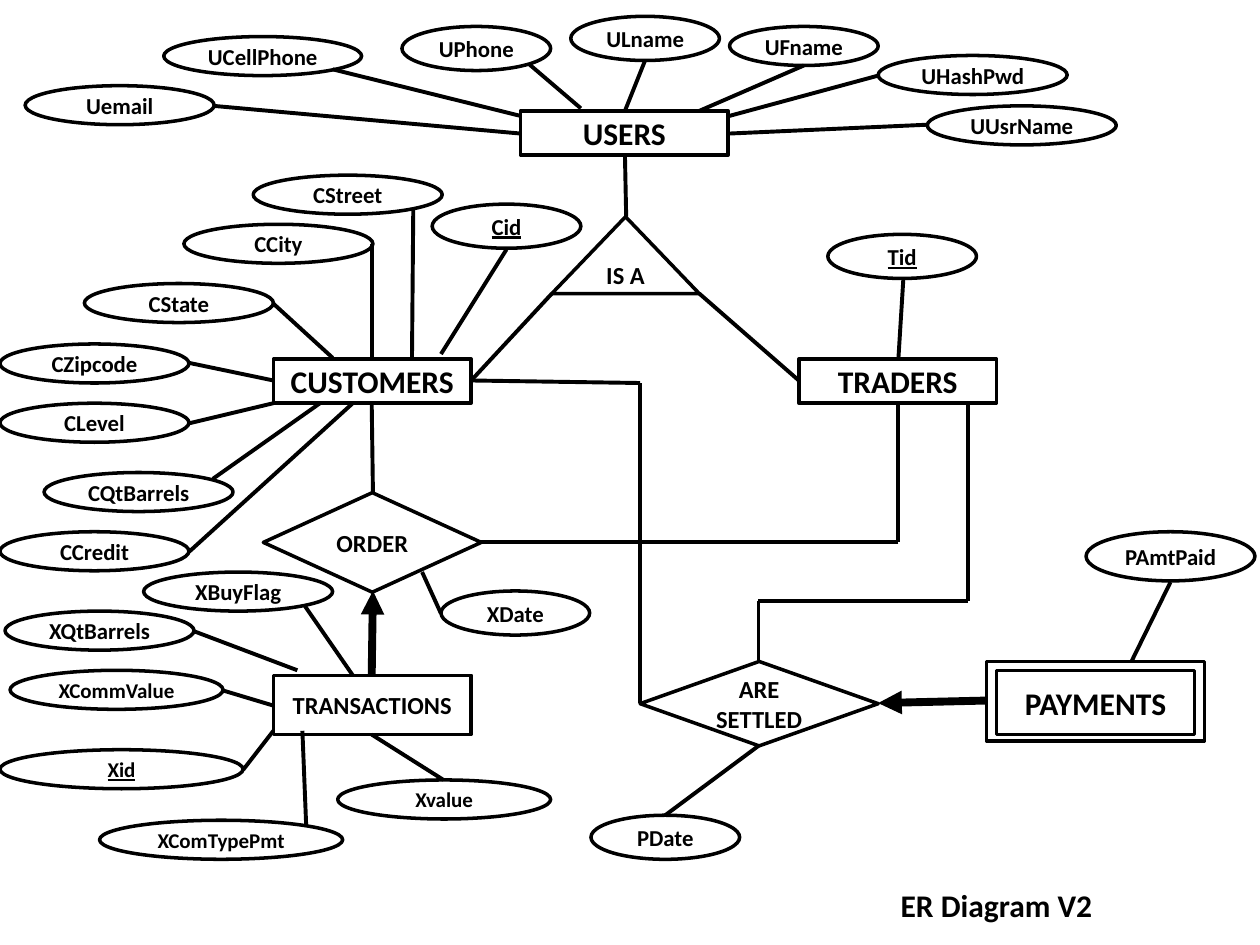
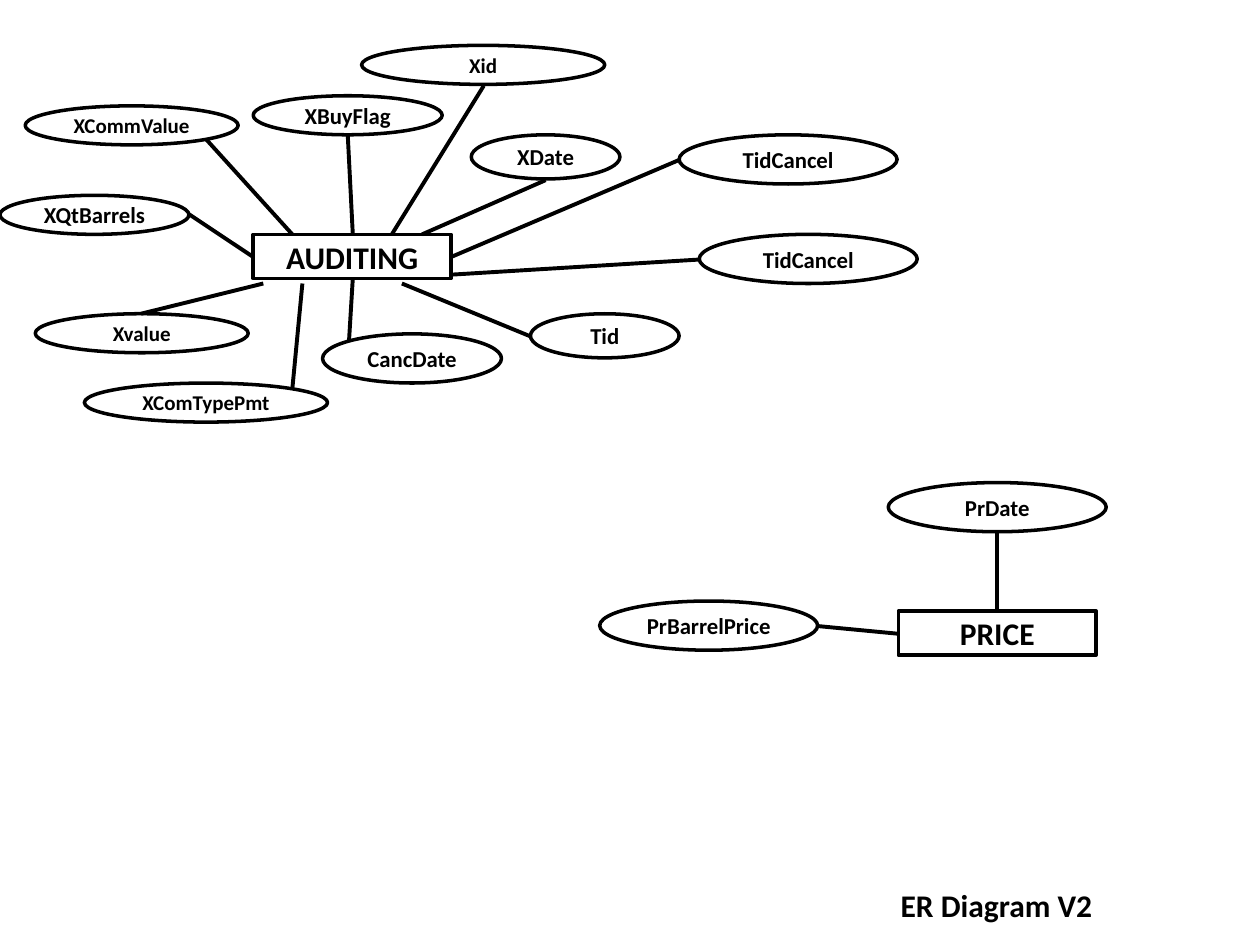
from itertools import pairwise

from lxml import etree
from pptx import Presentation
from pptx.dml.color import RGBColor
from pptx.enum.shapes import MSO_CONNECTOR, MSO_SHAPE
from pptx.enum.text import MSO_ANCHOR, PP_ALIGN
from pptx.oxml.ns import qn
from pptx.util import Pt

PX = 9144  # one px is a hundredth of an inch
INK = RGBColor(0x00, 0x00, 0x00)
FONT = "Calibri"
CAPTION = "ER Diagram V2"
LINK, ARROW = 2.25, 4.5

RECT, OVAL = MSO_SHAPE.RECTANGLE, MSO_SHAPE.OVAL
TRIANGLE, DIAMOND = MSO_SHAPE.ISOSCELES_TRIANGLE, MSO_SHAPE.FLOWCHART_DECISION
STRAIGHT = MSO_CONNECTOR.STRAIGHT
MIDDLE, CENTER = MSO_ANCHOR.MIDDLE, PP_ALIGN.CENTER

# Sizes: width, height, text size
ENTITY = (157, 35, 18)
SHORT = (118, 35, 13)
MEDIUM = (150, 31, 13)
LONG = (169, 31, 12)
WIDE = (193, 31, 12)
TALL = (173, 39, 13)


def add_node(page, preset, label, left, top, size, underlined=False):
    width, height, points = size
    node = page.shapes.add_shape(preset, left * PX, top * PX, width * PX, height * PX)
    node.shadow.inherit = False
    node.fill.background()
    node.line.color.rgb = INK
    node.line.width = Pt(2)
    if not label:
        return
    frame = node.text_frame
    frame.word_wrap = True
    frame.vertical_anchor = MIDDLE
    frame.margin_left = frame.margin_right = frame.margin_top = frame.margin_bottom = 0
    para = frame.paragraphs[0]
    para.alignment = CENTER
    add_span(para, label, points, underlined)


def add_span(para, label, points, underlined=False):
    span = para.add_run()
    span.text = label
    span.font.name = FONT
    span.font.size = Pt(points)
    span.font.bold = True
    span.font.color.rgb = INK
    if underlined:
        span.font.underline = True


# Slide 1: users, customers, traders and their dealings
trading_nodes = [
    (RECT, "USERS", 413, 88, (165, 35, 18)),
    (RECT, "CUSTOMERS", 217, 285, ENTITY),
    (RECT, "TRADERS", 634, 285, ENTITY),
    (RECT, "TRANSACTIONS", 217, 536, (157, 47, 14)),
    (RECT, "PAYMENTS", 791, 532, (157, 51, 18)),
    (RECT, "", 783, 525, (173, 63, 18)),
    (TRIANGLE, "IS A", 438, 172, (117, 61, 14)),
    (DIAMOND, "ORDER", 209, 391, (173, 79, 14)),
    (DIAMOND, "ARE SETTLED", 508, 525, (189, 67, 14)),
]

# Attributes: name, left, top, size, link from oval, link to entity
trading_attributes = [
    ("Uemail", 20, 68, MEDIUM, (169, 84), (413, 106)),
    ("UCellPhone", 130, 29, (157, 31, 13), (264, 55), (413, 92)),
    ("UPhone", 319, 21, SHORT, (420, 51), (461, 86)),
    ("ULname", 453, 13, SHORT, (512, 48), (496, 88)),
    ("UFname", 579, 21, (118, 31, 13), (638, 52), (555, 88)),
    ("UHashPwd", 697, 44, MEDIUM, (697, 60), (579, 92)),
    ("UUsrName", 736, 84, MEDIUM, (736, 99), (579, 106)),
    ("Cid", 343, 162, SHORT, (402, 198), (350, 281)),
    ("CStreet", 201, 139, MEDIUM, (328, 166), (327, 284)),
    ("CCity", 146, 178, MEDIUM, (295, 194), (295, 285)),
    ("CState", 67, 225, MEDIUM, (217, 241), (264, 284)),
    ("CZipcode", 0, 273, MEDIUM, (150, 288), (217, 302)),
    ("CLevel", 0, 320, MEDIUM, (150, 336), (217, 320)),
    ("CQtBarrels", 35, 375, MEDIUM, (169, 380), (254, 320)),
    ("CCredit", 0, 422, MEDIUM, (150, 438), (280, 320)),
    ("Tid", 657, 186, SHORT, (717, 221), (713, 285)),
    ("XDate", 350, 469, SHORT, (350, 487), (335, 454)),
    ("XBuyFlag", 114, 454, MEDIUM, (242, 481), (280, 536)),
    ("XQtBarrels", 4, 485, MEDIUM, (154, 501), (236, 532)),
    ("XCommValue", 8, 532, LONG, (177, 548), (217, 560)),
    ("Xid", 0, 595, WIDE, (193, 611), (217, 580)),
    ("XComTypePmt", 79, 651, WIDE, (243, 655), (240, 580)),
    ("Xvalue", 268, 619, LONG, (352, 619), (295, 583)),
    ("PDate", 469, 647, SHORT, (528, 647), (602, 592)),
    ("PAmtPaid", 862, 422, (134, 39, 13), (929, 462), (898, 525)),
]
trading_keys = {"Cid", "Tid", "Xid"}

# Routes between entities and relationships
trading_routes = [
    (LINK, [(496, 123), (497, 172)]),
    (LINK, [(438, 233), (374, 302)]),
    (LINK, [(555, 233), (634, 302)]),
    (LINK, [(295, 320), (296, 391)]),
    (LINK, [(374, 302), (508, 304), (508, 558)]),
    (LINK, [(713, 320), (713, 430), (382, 430)]),
    (LINK, [(768, 320), (768, 477), (602, 477), (602, 525)]),
    (ARROW, [(295, 536), (296, 469)]),
    (ARROW, [(783, 556), (697, 558)]),
]

# Slide 2: auditing and price
auditing_nodes = [
    (RECT, "AUDITING", 201, 186, ENTITY),
    (RECT, "PRICE", 713, 485, ENTITY),
]
auditing_attributes = [
    ("XBuyFlag", 201, 76, MEDIUM, (276, 107), (280, 186)),
    ("XQtBarrels", 0, 155, MEDIUM, (150, 170), (201, 204)),
    ("XCommValue", 20, 84, LONG, (164, 111), (232, 186)),
    ("Xvalue", 28, 249, LONG, (112, 249), (209, 225)),
    ("XComTypePmt", 67, 304, WIDE, (232, 309), (240, 225)),
    ("Xid", 287, 36, WIDE, (384, 68), (311, 186)),
    ("CancDate", 256, 265, (142, 39, 13), (277, 271), (280, 221)),
    ("XDate", 374, 107, SHORT, (433, 143), (335, 186)),
    ("Tid", 421, 249, SHORT, (421, 267), (319, 225)),
    ("TidCancel", 539, 107, TALL, (539, 127), (358, 204)),
    ("TidCancel", 555, 186, TALL, (555, 206), (358, 218)),
    ("PrDate", 705, 383, TALL, (791, 422), (791, 485)),
    ("PrBarrelPrice", 476, 477, TALL, (650, 497), (713, 503)),
]

diagrams = [
    (trading_nodes, trading_attributes, trading_keys, trading_routes),
    (auditing_nodes, auditing_attributes, set(), []),
]

deck = Presentation()
deck.slide_width, deck.slide_height = 1000 * PX, 750 * PX

for nodes, attributes, keys, routes in diagrams:
    page = deck.slides.add_slide(deck.slide_layouts[6])

    # Entities, relationships and attributes
    for preset, label, left, top, size in nodes:
        add_node(page, preset, label, left, top, size)
    for label, left, top, size, start, end in attributes:
        add_node(page, OVAL, label, left, top, size, label in keys)

    # Attribute links and routes, arrows with a head at the end
    links = [(LINK, [start, end]) for *_, start, end in attributes]
    for weight, stops in links + routes:
        for (x1, y1), (x2, y2) in pairwise(stops):
            line = page.shapes.add_connector(STRAIGHT, x1 * PX, y1 * PX, x2 * PX, y2 * PX)
            line.line.color.rgb = INK
            line.line.width = Pt(weight)
            if weight == ARROW:
                etree.SubElement(line.line._get_or_add_ln(), qn("a:tailEnd"), type="triangle")
            etree.SubElement(line._element.spPr, qn("a:effectLst"))

    # Caption
    box = page.shapes.add_textbox(705 * PX, 698 * PX, 276 * PX, 40 * PX)
    box.text_frame.word_wrap = True
    add_span(box.text_frame.paragraphs[0], CAPTION, 18)

deck.save("out.pptx")
